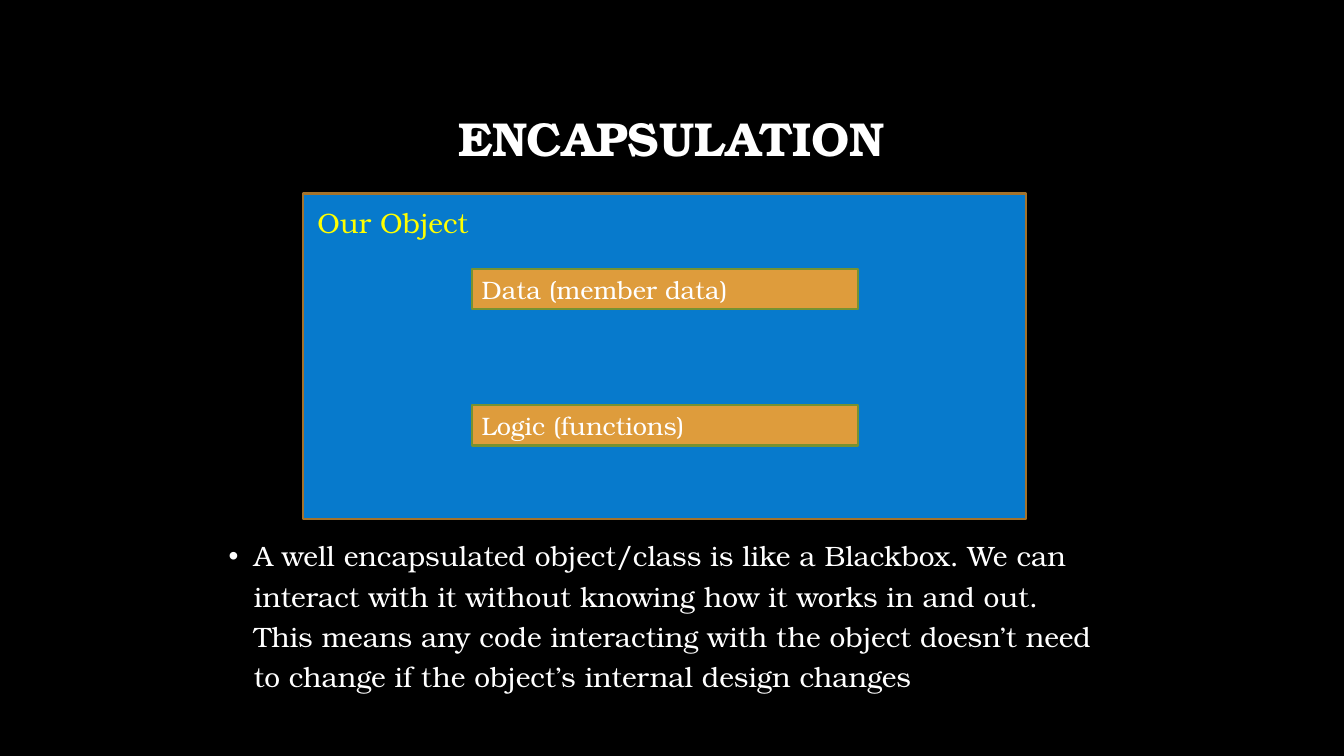
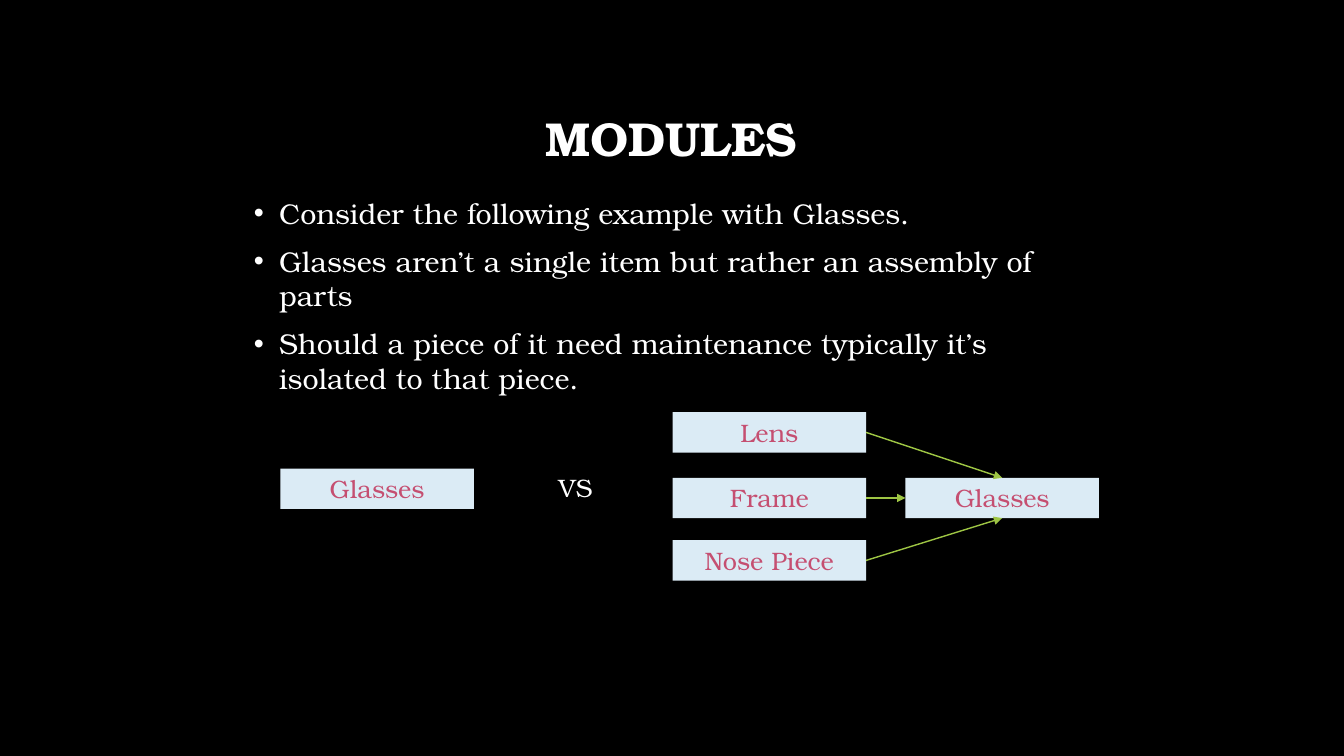
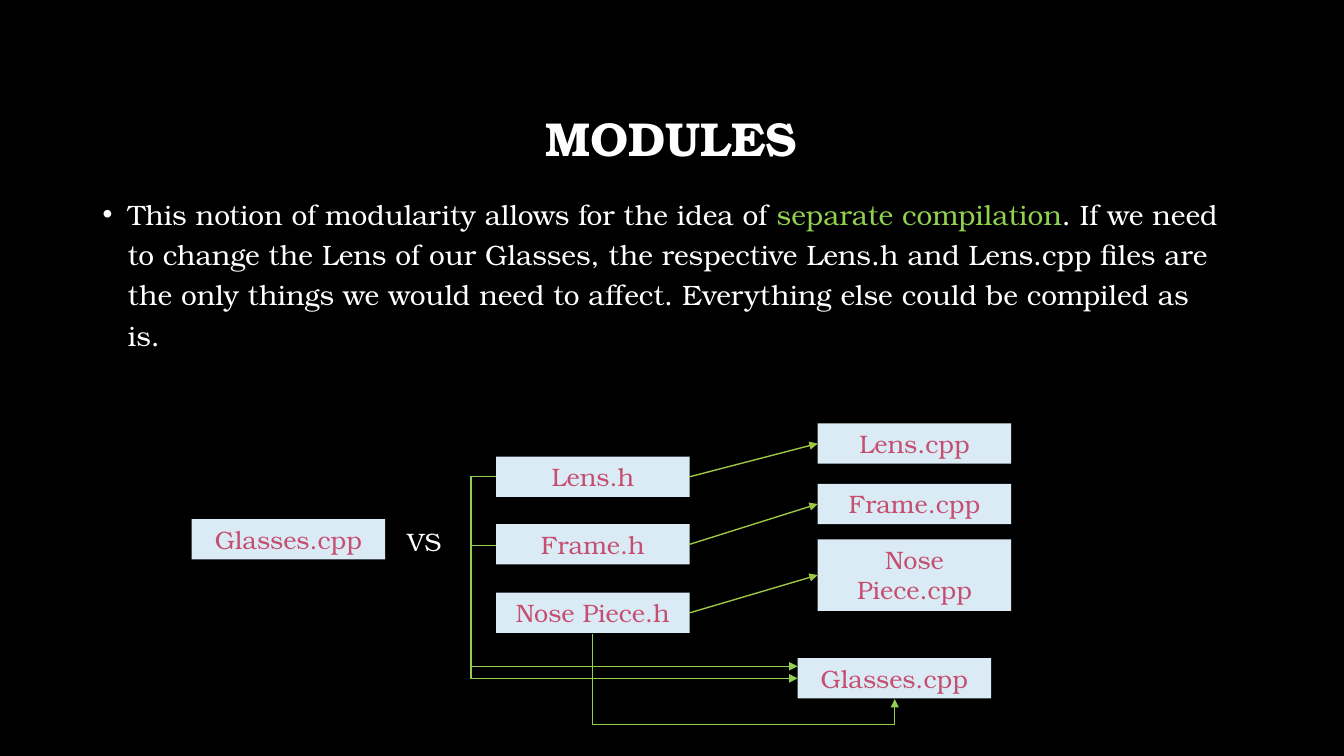
from lxml import etree
from pptx import Presentation
from pptx import util as u
from pptx.dml.color import RGBColor
from pptx.enum import shapes, text
from pptx.oxml.ns import qn

FONT = "TeX Gyre Bonum"
C = {"black": "000000", "white": "FFFFFF", "yellow": "FFFF00",
     "blue": "077ACC", "brown": "A4732C", "orange": "DE9C3C",
     "olive": "759232", "pale": "DBEBF5", "rose": "C54F71",
     "arrow": "9EC544", "green": "92D050"}
LEFT, CENTER = text.PP_ALIGN.LEFT, text.PP_ALIGN.CENTER
STRAIGHT, ELBOW = shapes.MSO_CONNECTOR.STRAIGHT, shapes.MSO_CONNECTOR.ELBOW
BOX_W, BOX_H = 1.92, 0.4


def add_box(s, at, paras, size=18, color="white", fill=None, line=None,
            align=LEFT, bullet=False, spacing=1.0, before=0, indent=0):
    """Text in a rectangle; paras holds strings or lists of (text, color) runs."""
    at = [u.Inches(v) for v in at]
    if fill:
        sp = s.shapes.add_shape(shapes.MSO_SHAPE.RECTANGLE, *at)
        sp.shadow.inherit = False
        sp.fill.solid()
        sp.fill.fore_color.rgb = RGBColor.from_string(C[fill])
        if line:
            sp.line.color.rgb = RGBColor.from_string(C[line])
            sp.line.width = u.Pt(1.5)
        else:
            sp.line.fill.background()
    else:
        sp = s.shapes.add_textbox(*at)
    tf = sp.text_frame
    tf.word_wrap = True
    tf.vertical_anchor = text.MSO_ANCHOR.TOP
    for i, runs in enumerate(paras):
        p = tf.add_paragraph() if i else tf.paragraphs[0]
        p.alignment, p.line_spacing, p.space_before = align, spacing, u.Pt(before)
        pPr = p._p.get_or_add_pPr()
        if bullet:
            pPr.set("marL", str(u.Inches(0.25)))
            pPr.set("indent", str(u.Inches(-0.25)))
            etree.SubElement(pPr, qn("a:buFont"), typeface="Arial")
            etree.SubElement(pPr, qn("a:buChar"), char="•")
        elif indent:
            pPr.set("marL", str(u.Inches(indent)))
        for words, name in [(runs, color)] if isinstance(runs, str) else runs:
            r = p.add_run()
            r.text = words
            r.font.name, r.font.size = FONT, u.Pt(size)
            r.font.color.rgb = RGBColor.from_string(C[name])
    return sp


def add_arrow(s, kind, ends, color="arrow", adj=None):
    """Arrow with a triangle at its end; adj places the bend of an elbow."""
    cx = s.shapes.add_connector(kind, *[u.Inches(v) for v in ends])
    cx.line.color.rgb = RGBColor.from_string(C[color])
    cx.line.width = u.Pt(1)
    etree.SubElement(cx.line._get_or_add_ln(), qn("a:tailEnd"), type="triangle")
    spPr = cx._element.spPr
    etree.SubElement(spPr, qn("a:effectLst"))
    if adj is not None:
        geom = spPr.find(qn("a:prstGeom"))
        av = geom.find(qn("a:avLst"))
        if av is None:
            av = etree.SubElement(geom, qn("a:avLst"))
        etree.SubElement(av, qn("a:gd"), name="adj1", fmla=f"val {round(adj * 100000)}")
    return cx


prs = Presentation()
prs.slide_width, prs.slide_height = u.Inches(13.33), u.Inches(7.5)

# Shared background and titles
bg = prs.slide_master.background.fill
bg.solid()
bg.fore_color.rgb = RGBColor.from_string(C["black"])
slides = []
for title in ("ENCAPSULATION", "MODULES", "MODULES"):
    s = prs.slides.add_slide(prs.slide_layouts[6])
    sp = add_box(s, (1, 0.67, 11.32, 1.45), [title], 34, align=CENTER, spacing=0.9)
    sp.text_frame.vertical_anchor = text.MSO_ANCHOR.MIDDLE
    sp.text_frame.paragraphs[0].runs[0].font.bold = True
    slides.append(s)
encapsulation, parts, files = slides

# Encapsulation: object holding data and logic
add_box(encapsulation, (3.01, 1.92, 7.17, 3.23), ["Our Object"], 20, "yellow",
        "blue", "brown", spacing=1.2, before=10, indent=0.04)
for top, label in ((2.67, "Data (member data)"), (4.02, "Logic (functions)")):
    add_box(encapsulation, (4.68, top, 3.83, BOX_H), [label], fill="orange", line="olive")
add_box(encapsulation, (2.17, 5.23, 8.85, 1.68), [
    "A well encapsulated object/class is like a Blackbox. We can interact with it "
    "without knowing how it works in and out. This means any code interacting with "
    "the object doesn’t need to change if the object’s internal design changes",
], 20, bullet=True, spacing=1.2, before=10)

# Body text of the two module slides
add_box(parts, (2.42, 1.89, 8.49, 1.77), [
    "Consider the following example with Glasses.",
    "Glasses aren’t a single item but rather an assembly of parts",
    "Should a piece of it need maintenance typically it’s isolated to that piece.",
], 20.4, bullet=True, before=10)
add_box(files, (0.92, 1.84, 11.32, 4.04), [[
    ("This notion of modularity allows for the idea of ", "white"),
    ("separate compilation", "green"),
    (". If we need to change the Lens of our Glasses, the respective Lens.h and "
     "Lens.cpp files are the only things we would need to affect. Everything else "
     "could be compiled as is.", "white"),
]], 20, bullet=True, spacing=1.2, before=10)

# Boxes of the two module diagrams
diagrams = (
    (parts, (("Lens", 6.67, 4.09), ("Frame", 6.67, 4.74), ("Nose Piece", 6.67, 5.36),
             ("Glasses", 8.98, 4.74), ("Glasses", 2.78, 4.65))),
    (files, (("Lens.h", 4.92, 4.53), ("Frame.h", 4.92, 5.2), ("Nose Piece.h", 4.92, 5.88),
             ("Lens.cpp", 8.11, 4.2), ("Frame.cpp", 8.11, 4.8),
             ("Nose Piece.cpp", 8.11, 5.35),
             ("Glasses.cpp", 7.91, 6.53), ("Glasses.cpp", 1.9, 5.15))),
)
boxes = []
for s, items in diagrams:
    row = []
    for label, left, top in items:
        height = 0.71 if label == "Nose Piece.cpp" else BOX_H
        row.append(add_box(s, (left, top, BOX_W, height), [label], color="rose",
                           fill="pale", align=CENTER))
    boxes.append(row)
for s, left, top in ((parts, 5.44, 4.64), (files, 3.94, 5.17)):
    add_box(s, (left, top, 0.54, BOX_H), ["VS"]).text_frame.word_wrap = False

# Straight arrows: slide, start box, end box, side of the end box
part_boxes, file_boxes = boxes
links = [(parts, part_boxes[i], part_boxes[3], side) for i, side in enumerate((0, 1, 2))]
links += [(files, file_boxes[i], file_boxes[i + 3], 1) for i in range(3)]
for s, start, end, side in links:
    cx = add_arrow(s, STRAIGHT, (0, 0, 1, 1))
    cx.begin_connect(start, 3)
    cx.end_connect(end, side)

# Bent arrows from the headers to Glasses.cpp
cx = add_arrow(files, ELBOW, (7.7, 5.11, 7.05, 8.11), "green", 1.386)
cx._element.spPr.find(qn("a:xfrm")).set("rot", str(270 * 60000))
for top, bottom in ((5.41, 6.73), (4.73, 6.61)):
    add_arrow(files, ELBOW, (4.92, top, 7.91, bottom), "green", -0.083)

prs.save("out.pptx")
